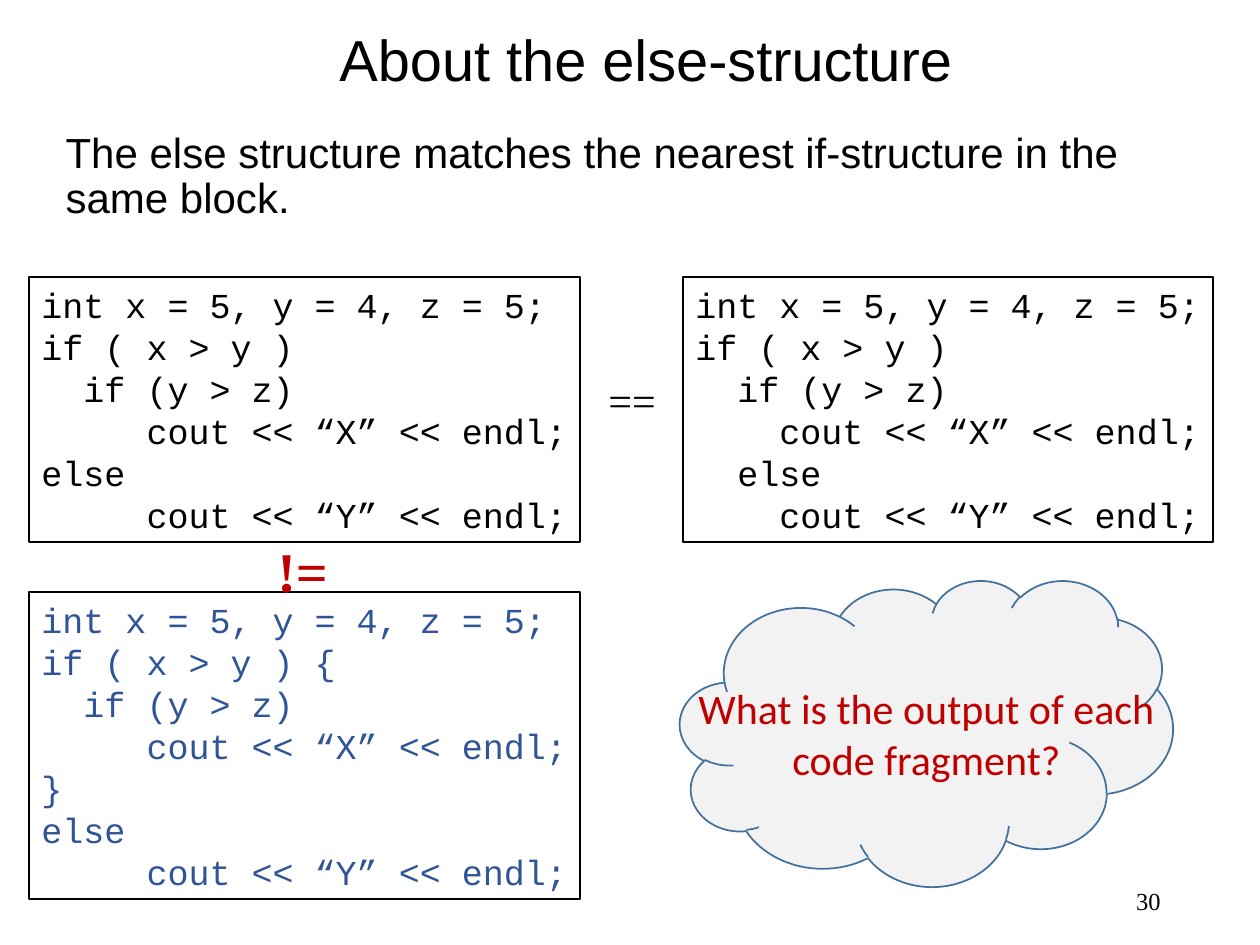
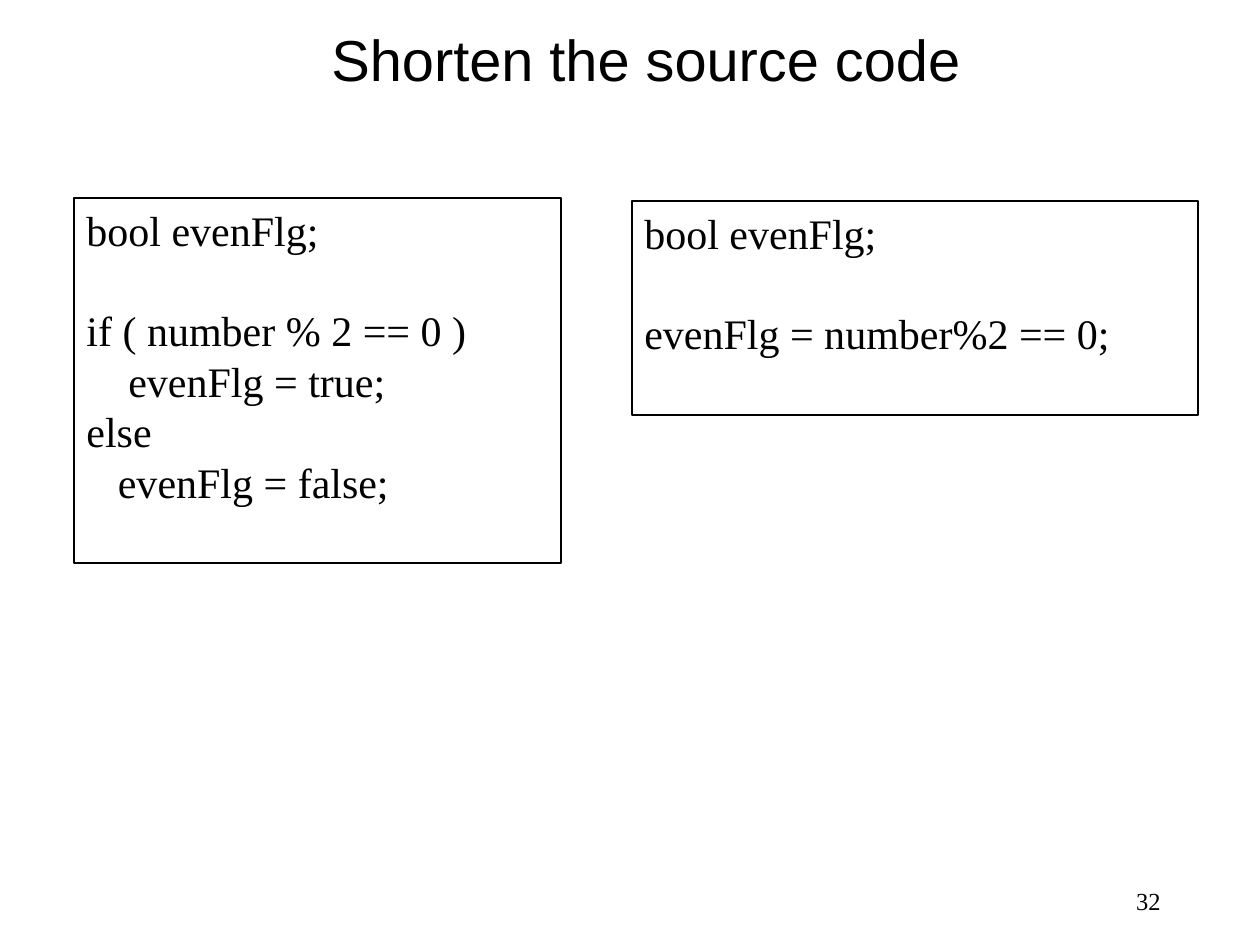
from pptx import Presentation
from pptx import util as u
from pptx.dml.color import RGBColor
from pptx.enum import shapes, text
from lxml import etree

PX = u.Inches(1) / 126
BLACK = RGBColor(0, 0, 0)
RED = RGBColor(0xC0, 0, 0)
BLUE = RGBColor(0x2F, 0x55, 0x97)
CLOUD_FILL = RGBColor(0xF2, 0xF2, 0xF2)
CLOUD_EDGE = RGBColor(0x41, 0x71, 0x9C)
SANS, SERIF, MONO = "Arial", "Times New Roman", "Courier New"
LINE_FACTOR = 1.2
TITLE_LAYOUT, BODY_LAYOUT = 5, 1

NEAREST_IF = """int x = 5, y = 4, z = 5;
if ( x > y )
  if (y > z)
     cout << “X” << endl;
else
     cout << “Y” << endl;"""

INDENTED_ELSE = """int x = 5, y = 4, z = 5;
if ( x > y )
  if (y > z)
    cout << “X” << endl;
  else
    cout << “Y” << endl;"""

BRACED_IF = """int x = 5, y = 4, z = 5;
if ( x > y ) {
  if (y > z)
     cout << “X” << endl;
}
else
     cout << “Y” << endl;"""

LONG_FLAG = """bool evenFlg;

if ( number % 2 == 0 )
    evenFlg = true;
else
   evenFlg = false;"""

SHORT_FLAG = """bool evenFlg;

evenFlg = number%2 == 0;"""


def emu(*lengths):
    return [u.Emu(round(length * PX)) for length in lengths]


def write(shape, content, size, font=SERIF, color=BLACK, bold=False,
          align=text.PP_ALIGN.LEFT, anchor=text.MSO_ANCHOR.TOP,
          wrap=True, spacing=None):
    frame = shape.text_frame
    frame.auto_size = text.MSO_AUTO_SIZE.NONE
    frame.word_wrap = wrap
    frame.vertical_anchor = anchor
    pitch = u.Pt(size * LINE_FACTOR)
    paragraph, gap = None, 0
    for line in content.split("\n"):
        if not line:
            gap += pitch
            continue
        paragraph = frame.add_paragraph() if paragraph else frame.paragraphs[0]
        paragraph.alignment = align
        paragraph.line_spacing = spacing or pitch
        paragraph.space_before = u.Emu(gap)
        gap = 0
        run = paragraph.add_run()
        run.text = line
        run.font.size = u.Pt(size)
        run.font.name = font
        run.font.bold = bold
        run.font.color.rgb = color


def place(shape, box):
    shape.left, shape.top, shape.width, shape.height = emu(*box)


def add_page(deck, layout, title, number):
    page = deck.slides.add_slide(deck.slide_layouts[layout])
    place(page.shapes.title, (95, 0, 1102, 126))
    write(page.shapes.title, title, 33, font=SANS, spacing=0.9,
          align=text.PP_ALIGN.CENTER, anchor=text.MSO_ANCHOR.MIDDLE)
    add_label(page, (890, 876, 283, 50), number, 14,
              align=text.PP_ALIGN.RIGHT, anchor=text.MSO_ANCHOR.MIDDLE)
    return page


def add_statement(page, content):
    statement = page.placeholders[1]
    place(statement, (53, 126, 1176, 116))
    properties = statement.text_frame.paragraphs[0]._p.get_or_add_pPr()
    properties.set("marL", "0")
    properties.set("indent", "0")
    etree.SubElement(properties, properties.tag.replace("pPr", "buNone"))
    write(statement, content, 24, font=SANS, spacing=0.9)


def add_label(page, box, content, size, **style):
    label = page.shapes.add_textbox(*emu(*box))
    write(label, content, size, **style)


def add_code(page, box, content, size, **style):
    code = page.shapes.add_shape(shapes.MSO_SHAPE.RECTANGLE, *emu(*box))
    code.shadow.inherit = False
    code.fill.background()
    code.line.color.rgb = BLACK
    code.line.width = u.Pt(0.75)
    write(code, content, size, **style)


def add_question(page, box, content):
    cloud = page.shapes.add_shape(shapes.MSO_SHAPE.CLOUD, *emu(*box))
    cloud.shadow.inherit = False
    cloud.fill.solid()
    cloud.fill.fore_color.rgb = CLOUD_FILL
    cloud.line.color.rgb = CLOUD_EDGE
    cloud.line.width = u.Pt(1)
    add_label(page, box, content, 24, font="Calibri", color=RED,
              align=text.PP_ALIGN.CENTER, anchor=text.MSO_ANCHOR.MIDDLE)


def add_else_page(deck):
    page = add_page(deck, BODY_LAYOUT, "About the else-structure", "30")
    add_statement(page, "The else structure matches the nearest "
                        "if-structure in the same block.")
    fragments = [
        ((29, 277, 551, 265), NEAREST_IF, BLACK),
        ((683, 277, 530, 265), INDENTED_ELSE, BLACK),
        ((29, 592, 551, 307), BRACED_IF, BLUE),
    ]
    for box, code, color in fragments:
        add_code(page, box, code, 20, font=MONO, color=color, wrap=False)
    add_label(page, (265, 530, 76, 81), "!=", 32, color=RED, bold=True,
              wrap=False)
    add_label(page, (596, 368, 72, 63), "==", 24, wrap=False)
    add_question(page, (680, 580, 493, 306),
                 "What is the output of each code fragment?")


def add_shorten_page(deck):
    page = add_page(deck, TITLE_LAYOUT, "Shorten the source code", "32")
    add_code(page, (74, 198, 487, 365), LONG_FLAG, 24)
    add_code(page, (632, 201, 566, 214), SHORT_FLAG, 24)


def main():
    deck = Presentation()
    deck.slide_width, deck.slide_height = emu(1260, 945)
    add_else_page(deck)
    add_shorten_page(deck)
    deck.save("out.pptx")


if __name__ == "__main__":
    main()
